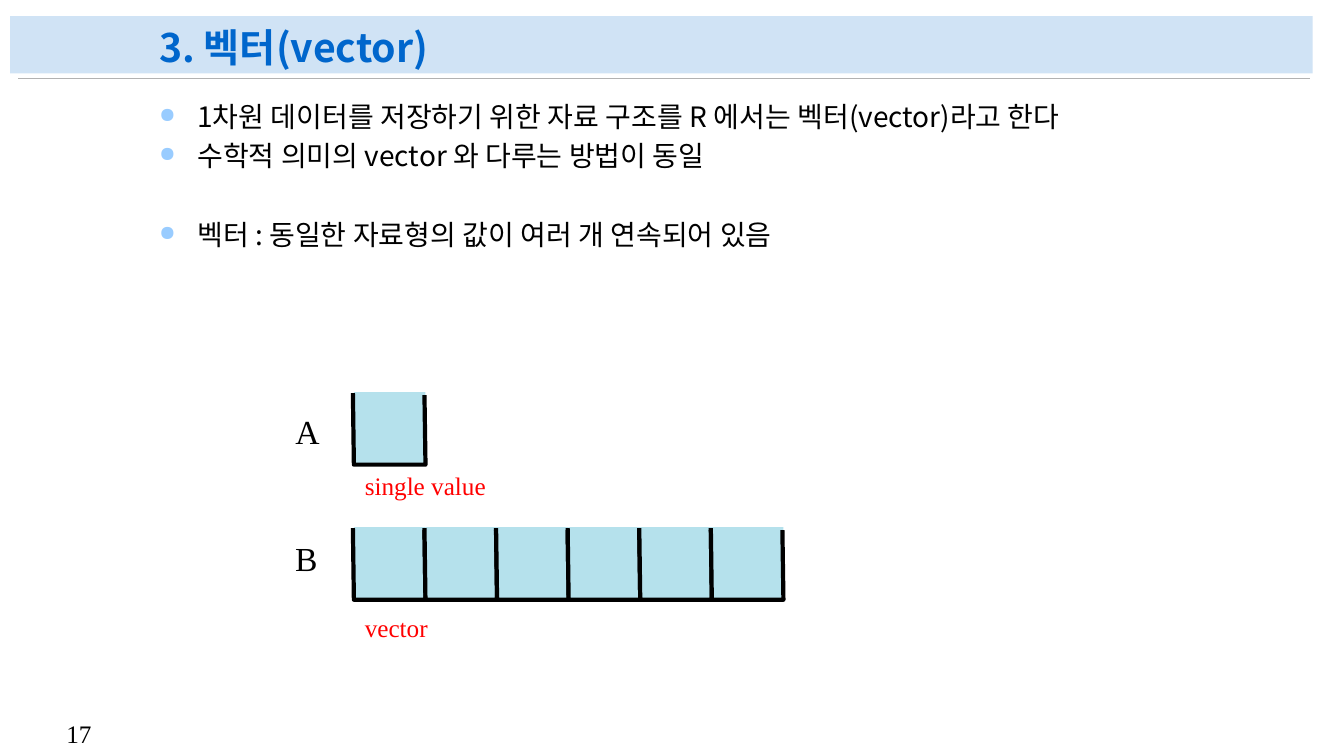
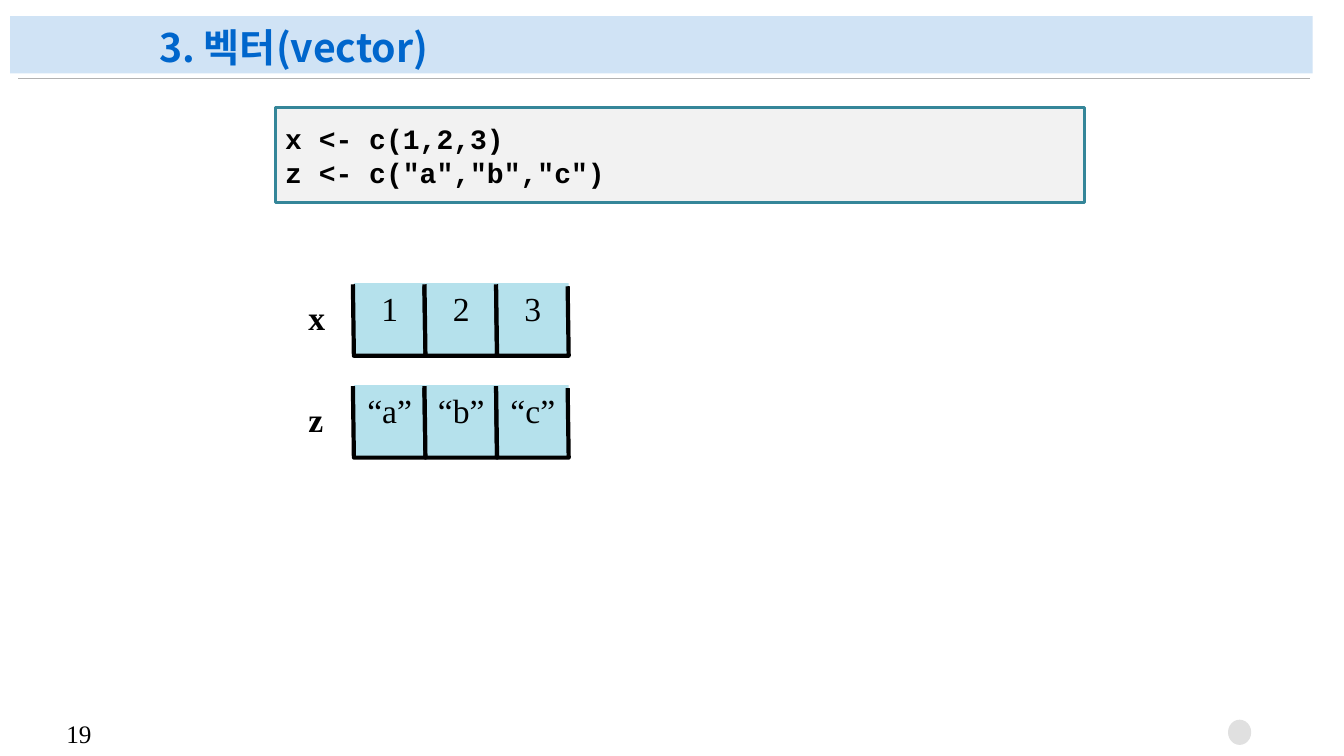
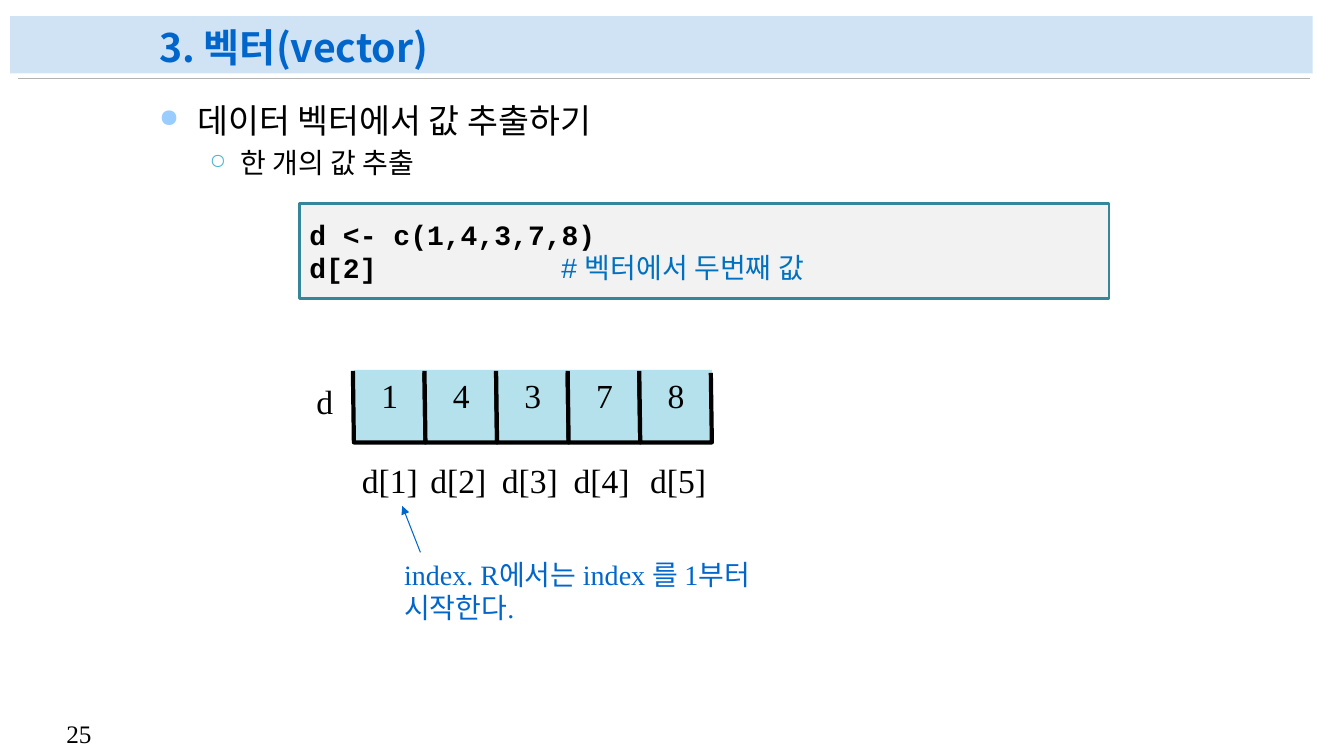
from lxml import etree
from pptx import Presentation
from pptx.dml.color import RGBColor
from pptx.enum.shapes import MSO_CONNECTOR, MSO_SHAPE
from pptx.enum.text import MSO_ANCHOR, MSO_AUTO_SIZE, PP_ALIGN
from pptx.oxml.ns import qn
from pptx.util import Inches, Pt

RECT, OVAL = MSO_SHAPE.RECTANGLE, MSO_SHAPE.OVAL
STRAIGHT = MSO_CONNECTOR.STRAIGHT
TOP, MIDDLE, BOTTOM = MSO_ANCHOR.TOP, MSO_ANCHOR.MIDDLE, MSO_ANCHOR.BOTTOM
LEFT, CENTER = PP_ALIGN.LEFT, PP_ALIGN.CENTER
NO_FIT = MSO_AUTO_SIZE.NONE

SANS, SERIF = "Noto Sans CJK KR", "Times New Roman"
MONO, PLAIN = "Courier New", "Arial"
BLACK, BLUE, RED = "000000", "0066CC", "FF0000"
BAND, RULE, CELL = "D0E3F5", "B2B2B2", "B5E1EC"
PANEL, EDGE, NOTE, DOT = "F2F2F2", "358699", "0070C0", "E0E0E0"

TITLE = "3. 벡터(vector)"
ROW_X, SIDE = 3.51, 0.71

# Bullet levels: mark, colour, margin, hang
LEVELS = [("●", "99CCFF", 0.38, 0.38), ("○", "47B5CF", 0.81, 0.31)]


# Basics
def rgb(code):
    return RGBColor.from_string(code)


def sub(parent, tag, **attrs):
    return etree.SubElement(parent, qn(tag), attrs)


def style(para, size, face=SERIF, color=BLACK, bold=False):
    font = para.font
    font.size, font.name, font.bold = Pt(size), face, bold
    font.color.rgb = rgb(color)
    if face == SANS:
        sub(para._p.pPr.find(qn("a:defRPr")), "a:ea", typeface=face)


def box(slide, kind, x, y, w, h, fill, edge=None, width=0):
    shape = slide.shapes.add_shape(
        kind, Inches(x), Inches(y), Inches(w), Inches(h))
    shape.shadow.inherit = False
    shape.fill.solid()
    shape.fill.fore_color.rgb = rgb(fill)
    if edge:
        shape.line.color.rgb = rgb(edge)
        shape.line.width = Pt(width)
    else:
        shape.line.fill.background()
    return shape


def line(slide, x1, y1, x2, y2, color, width, arrow=False):
    link = slide.shapes.add_connector(
        STRAIGHT, Inches(x1), Inches(y1), Inches(x2), Inches(y2))
    link.line.color.rgb = rgb(color)
    link.line.width = Pt(width)
    if arrow:
        sub(link.line._get_or_add_ln(), "a:tailEnd", type="triangle")
    sub(link._element.spPr, "a:effectLst")


def label(slide, text, x, y, w, h=0.5, size=24, color=BLACK, bold=False,
          wrap=False):
    frame = slide.shapes.add_textbox(
        Inches(x), Inches(y), Inches(w), Inches(h)).text_frame
    frame.word_wrap = wrap
    frame.text = text
    style(frame.paragraphs[0], size, SERIF, color, bold)


# Shared frame: band, rule, page number, title
def page(deck, number):
    slide = deck.slides.add_slide(deck.slide_layouts[5])
    box(slide, RECT, 0.1, 0.16, 12.92, 0.57, BAND)
    line(slide, 12.99, 0.78, 0.18, 0.78, RULE, 0.5)
    label(slide, str(number), 0.56, 7.08, 0.5, 0.4, 18)
    title = slide.shapes.title
    title.left, title.top = Inches(1.48), Inches(0.17)
    title.width, title.height = Inches(10.06), Inches(0.58)
    frame = title.text_frame
    frame.text = TITLE
    frame.auto_size, frame.vertical_anchor = NO_FIT, BOTTOM
    para = frame.paragraphs[0]
    para.alignment, para.line_spacing = LEFT, 0.9
    style(para, 28, SANS, BLUE, True)
    title._element.getparent().append(title._element)
    return slide


# Bulleted text; each item is text, level, size, space before
def bullets(slide, items):
    frame = slide.shapes.add_textbox(
        Inches(1.48), Inches(0.94), Inches(10.06), Inches(6.02)).text_frame
    frame.word_wrap = True
    for i, (text, level, size, gap) in enumerate(items):
        para = frame.add_paragraph() if i else frame.paragraphs[0]
        para.text, para.level = text, level
        mark, color, margin, hang = LEVELS[level]
        props = para._p.get_or_add_pPr()
        props.set("marL", str(Inches(margin)))
        props.set("indent", str(-Inches(hang)))
        sub(sub(props, "a:buClr"), "a:srgbClr", val=color)
        sub(props, "a:buSzPct", val="75000")
        sub(props, "a:buChar", char=mark)
        para.space_before = Pt(gap)
        para.line_spacing = Pt(size * 1.2)
        style(para, size, SANS)


# Code panel; returns its paragraphs
def code(slide, x, y, lines):
    frame = box(slide, RECT, x, y, 8.03, 0.94, PANEL, EDGE, 2).text_frame
    frame.vertical_anchor = MIDDLE
    frame.text = "\n".join(lines)
    for para in frame.paragraphs:
        para.alignment = LEFT
        style(para, 20, MONO, BLACK, True)
    return frame.paragraphs


def remark(para, text, stop):
    tabs = etree.Element(qn("a:tabLst"))
    sub(tabs, "a:tab", pos=str(Inches(stop)), algn="l")
    para._p.pPr.find(qn("a:defRPr")).addprevious(tabs)
    run = para.add_run()
    run.text = "\t" + text
    run.font.name, run.font.bold = PLAIN, False
    run.font.color.rgb = rgb(NOTE)


# Row of open-topped cells
def cells(slide, y, values):
    for i, value in enumerate(values):
        x = ROW_X + i * SIDE
        cell = box(slide, RECT, x, y, SIDE, SIDE, CELL)
        if value:
            frame = cell.text_frame
            frame.word_wrap, frame.vertical_anchor = False, TOP
            frame.text = value
            frame.paragraphs[0].alignment = CENTER
            style(frame.paragraphs[0], 24)
        spots = [(x - 0.01, y + 0.01), (x, y + 0.72),
                 (x + SIDE, y + 0.72), (x + SIDE - 0.01, y + 0.03)]
        start, *rest = [(Inches(a), Inches(b)) for a, b in spots]
        pen = slide.shapes.build_freeform(*start)
        pen.add_line_segments(rest, close=False)
        rim = pen.convert_to_shape()
        rim.shadow.inherit = False
        rim.fill.background()
        rim.line.color.rgb = rgb(BLACK)
        rim.line.width = Pt(3)


# Slides
def intro(deck):
    slide = page(deck, 17)
    bullets(slide, [
        ("1차원 데이터를 저장하기 위한 자료 구조를 R 에서는 벡터(vector)라고 한다",
         0, 20, 0),
        ("수학적 의미의 vector 와 다루는 방법이 동일", 0, 20, 4),
        ("벡터 : 동일한 자료형의 값이 여러 개 연속되어 있음", 0, 20, 32)])
    cells(slide, 3.89, [""])
    cells(slide, 5.23, [""] * 6)
    label(slide, "A", 2.83, 4.03, 0.45)
    label(slide, "B", 2.83, 5.29, 0.43)
    label(slide, "single value", 3.52, 4.62, 1.46, 0.4, 18, RED)
    label(slide, "vector", 3.52, 6.03, 0.83, 0.4, 18, RED)


def make(deck):
    slide = page(deck, 19)
    code(slide, 2.73, 1.07, ["x <- c(1,2,3)", 'z <- c("a","b","c")'])
    rows = [("x", 2.81, "123"), ("z", 3.82, ["“a”", "“b”", "“c”"])]
    for name, y, values in rows:
        cells(slide, y, values)
        label(slide, name, 2.96, y + 0.09, 0.37, bold=True)
    box(slide, OVAL, 12.18, 7.14, 0.23, 0.25, DOT)


def pick(deck):
    slide = page(deck, 25)
    bullets(slide, [("데이터 벡터에서 값 추출하기", 0, 24, 0),
                    ("한 개의 값 추출", 1, 20, 4)])
    lines = code(slide, 2.97, 2.02, ["d <- c(1,4,3,7,8)", "d[2]"])
    remark(lines[1], "# 벡터에서 두번째 값", 2.5)
    cells(slide, 3.67, "14378")
    label(slide, "d", 3.04, 3.73, 0.37)
    for i, x in enumerate([3.49, 4.17, 4.88, 5.59, 6.35], 1):
        label(slide, f"d[{i}]", x, 4.51, 0.76)
    line(slide, 4.17, 5.48, 3.99, 5.02, BLUE, 0.75, arrow=True)
    label(slide, "index. R에서는 index 를 1부터 시작한다.",
          3.91, 5.48, 4.3, 0.78, 20, BLUE, wrap=True)


def main():
    deck = Presentation()
    deck.slide_width, deck.slide_height = Inches(13.33), Inches(7.5)
    for build in (intro, make, pick):
        build(deck)
    deck.save("out.pptx")


if __name__ == "__main__":
    main()
